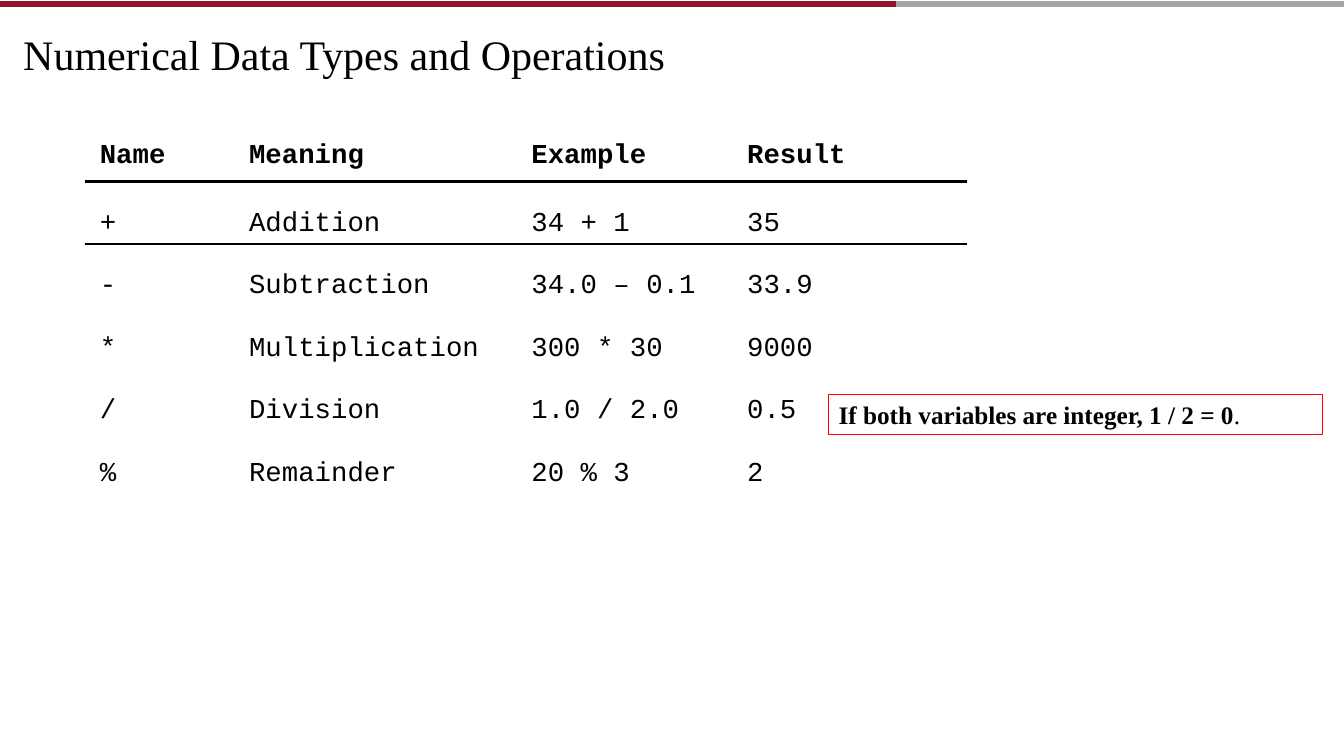
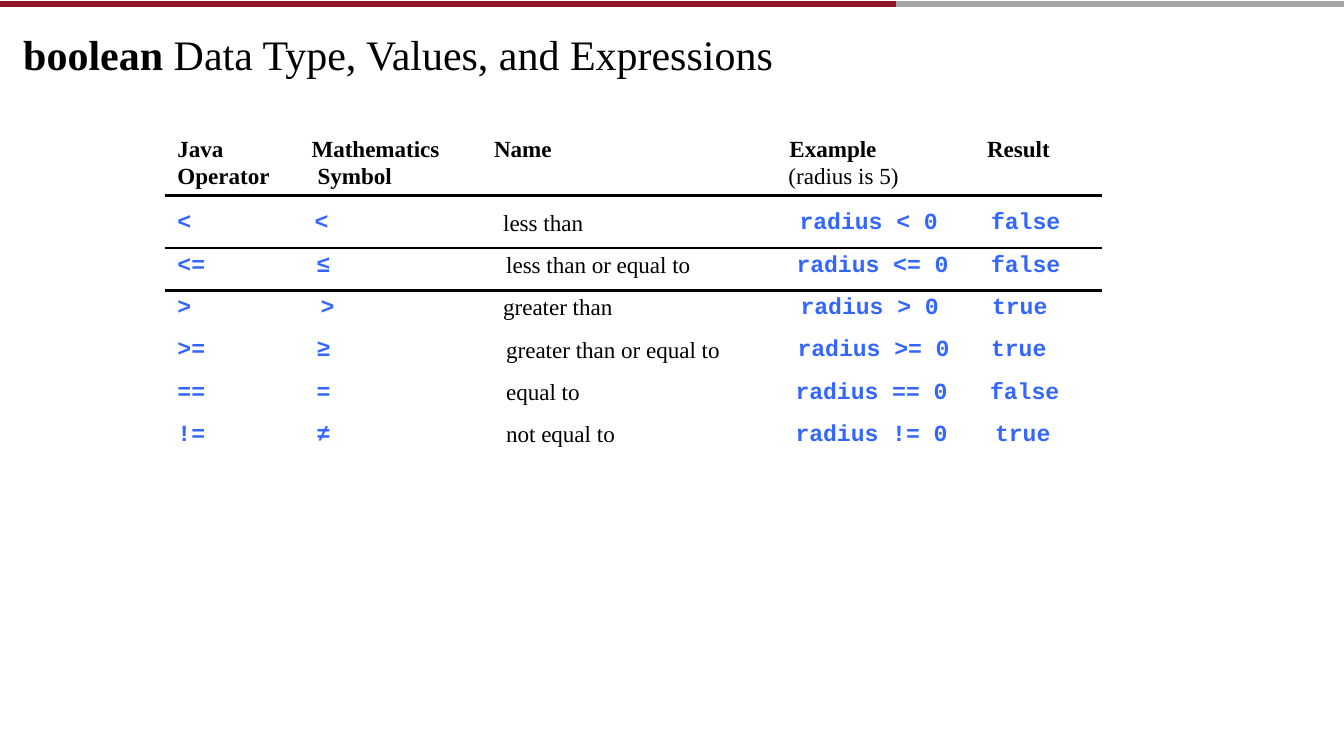
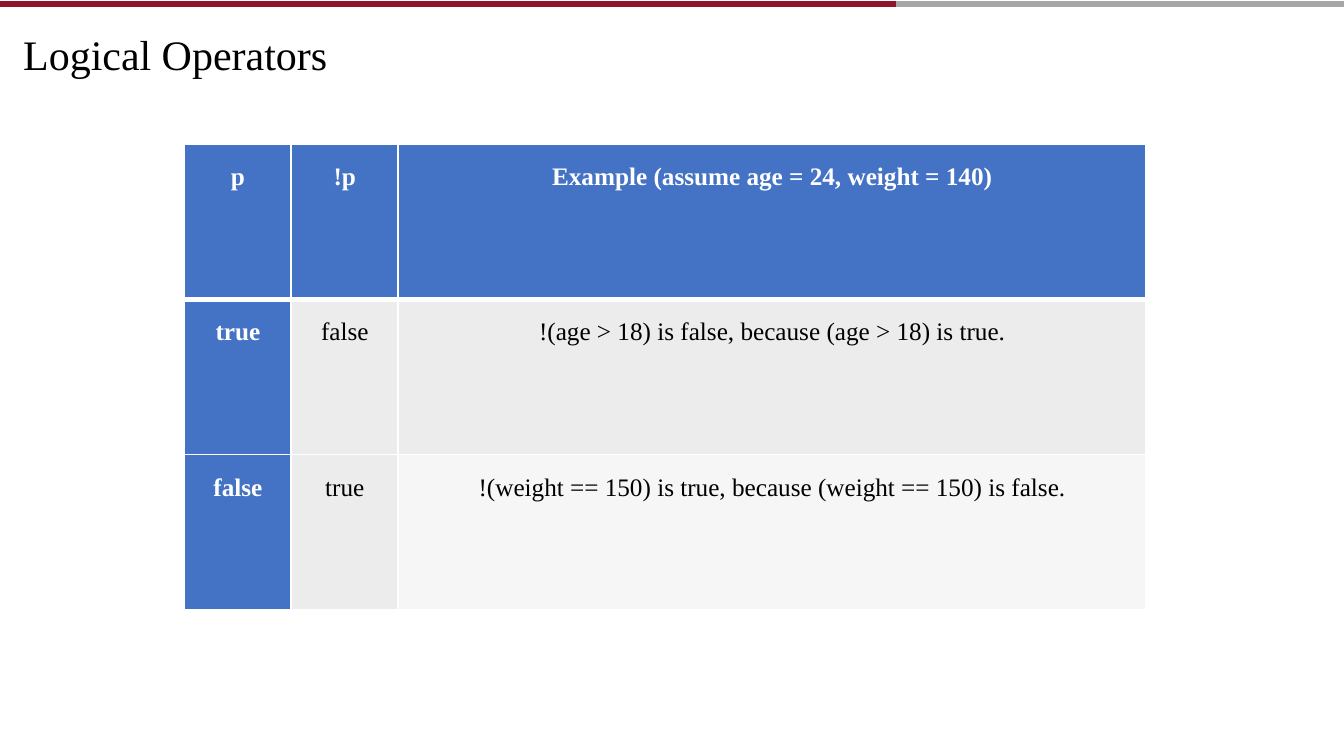
from lxml.etree import SubElement
from pptx import Presentation
from pptx.dml.color import RGBColor
from pptx.enum.shapes import MSO_CONNECTOR as Connector, MSO_SHAPE as Preset
from pptx.enum.text import MSO_ANCHOR as Anchor, MSO_AUTO_SIZE as AutoSize, PP_ALIGN as Align
from pptx.oxml.ns import qn
from pptx.util import Inches, Pt

COLORS = {
    "crimson": "90152A", "gray": "A6A6A6", "black": "000000", "white": "FFFFFF",
    "red": "FF0000", "code": "3366FF", "header": "4472C4",
    "band": "ECECEC", "pale": "F6F6F6",
}
SERIF, MONO = "Times New Roman", "Courier New"
NO_TABLE_STYLE = "{2D5ABB26-0587-4C30-8999-92F81FD0307C}"
BORDER_TAGS = {"left": "a:lnL", "right": "a:lnR", "top": "a:lnT", "bottom": "a:lnB"}


def rgb(name):
    return RGBColor.from_string(COLORS[name])


def write_text(paragraph, text, font=SERIF, size=18, color="black", bold=False,
               align=Align.LEFT, indent=0, line_spacing=None):
    """Text is a string, or a list of (text, bold) pairs."""
    paragraph.alignment = align
    if indent:
        paragraph._p.get_or_add_pPr().set("marL", str(Inches(indent)))
    if line_spacing:
        paragraph.line_spacing = Pt(line_spacing)
    for words, weight in [(text, bold)] if isinstance(text, str) else text:
        run = paragraph.add_run()
        run.text = words
        run.font.name = font
        run.font.size = Pt(size)
        run.font.bold = weight
        run.font.color.rgb = rgb(color)


def set_margins(target, left=0, top=0):
    target.margin_left, target.margin_top = Inches(left), Inches(top)
    target.margin_right = target.margin_bottom = 0


def add_title_slide(presentation, title, width):
    slide = presentation.slides.add_slide(presentation.slide_layouts[5])
    shape = slide.shapes.title
    shape.left, shape.top = Inches(0.22), Inches(0.24)
    shape.width, shape.height = Inches(width), Inches(0.53)
    frame = shape.text_frame
    frame.auto_size = AutoSize.NONE
    frame.word_wrap = True
    frame.vertical_anchor = Anchor.TOP
    set_margins(frame, 0.01, 0.04)
    write_text(frame.paragraphs[0], title, size=30)
    return slide


def add_bands(slide):
    """Draw the top bands and keep them on the layout that all slides share."""
    layout = slide.slide_layout
    for placeholder in list(layout.placeholders)[1:]:
        placeholder.element.getparent().remove(placeholder.element)
    layout_tree = layout.placeholders[0].element.getparent()
    for start, end, color in ((8.89, 13.33, "gray"), (0, 8.89, "crimson")):
        band = slide.shapes.add_connector(
            Connector.STRAIGHT, Inches(start), Inches(0.04), Inches(end), Inches(0.04))
        band.line.color.rgb = rgb(color)
        band.line.width = Pt(4)
        SubElement(band.element.spPr, qn("a:effectLst"))
        layout_tree.append(band.element)


def add_table(slide, left, top, columns, rows):
    frame = slide.shapes.add_table(
        len(rows), len(columns), Inches(left), Inches(top),
        Inches(sum(columns)), Inches(sum(rows)))
    table = frame.table
    table.first_row = table.horz_banding = False
    for style in frame.element.iter(qn("a:tableStyleId")):
        style.text = NO_TABLE_STYLE
    for column, width in zip(table.columns, columns):
        column.width = Inches(width)
    for row, height in zip(table.rows, rows):
        row.height = Inches(height)
    return table


def format_cell(cell, borders, border_color="black", fill=None, inset_left=0, inset_top=0):
    """Borders give the line width in points for each named side."""
    set_margins(cell, inset_left, inset_top)
    if fill:
        cell.fill.solid()
        cell.fill.fore_color.rgb = rgb(fill)
    else:
        cell.fill.background()
    properties = cell._tc.get_or_add_tcPr()
    sides = [side for side in BORDER_TAGS if side in borders]
    for position, side in enumerate(sides):
        line = SubElement(properties, qn(BORDER_TAGS[side]), w=str(Pt(borders[side])))
        solid = SubElement(line, qn("a:solidFill"))
        SubElement(solid, qn("a:srgbClr"), val=COLORS[border_color])
        properties.insert(position, line)


def add_note(slide, text, left, top, width, height):
    shape = slide.shapes.add_shape(
        Preset.RECTANGLE, Inches(left), Inches(top), Inches(width), Inches(height))
    shape.shadow.inherit = False
    shape.fill.background()
    shape.line.color.rgb = rgb("red")
    shape.line.width = Pt(0.75)
    frame = shape.text_frame
    frame.word_wrap = True
    frame.vertical_anchor = Anchor.TOP
    set_margins(frame, 0.1, 0.05)
    write_text(frame.paragraphs[0], text)


def build_numeric_slide(presentation):
    slide = add_title_slide(presentation, "Numerical Data Types and Operations", 6.41)
    add_bands(slide)
    content = [
        ("Name", "Meaning", "Example", "Result"),
        ("+", "Addition", "34 + 1", "35"),
        ("-", "Subtraction", "34.0 – 0.1", "33.9"),
        ("*", "Multiplication", "300 * 30", "9000"),
        ("/", "Division", "1.0 / 2.0", "0.5"),
        ("%", "Remainder", "20 % 3", "2"),
    ]
    table = add_table(slide, 0.84, 1.3, [1.48, 2.8, 2.14, 2.33], [0.5] + [0.62] * 5)
    for row, texts in enumerate(content):
        borders = {0: {"bottom": 1.78}, 1: {"top": 1.78}}.get(row, {})
        for column, text in enumerate(texts):
            cell = table.cell(row, column)
            format_cell(cell, borders, inset_left=0.15, inset_top=0.27 if row else 0.1)
            write_text(cell.text_frame.paragraphs[0], text, font=MONO, size=19.5,
                       bold=row == 0)
    add_note(slide, [("If both variables are integer, 1 / 2 = 0", True), (".", False)],
             8.22, 3.91, 4.9, 0.4)


def build_boolean_slide(presentation):
    slide = add_title_slide(
        presentation,
        [("boolean ", True), ("Data Type, Values, and Expressions", False)], 7.48)
    headers = [
        [("Java", 0.12, True), ("Operator", 0.12, True)],
        [("Mathematics", 0.2, True), ("Symbol", 0.26, True)],
        [("Name", 0.26, True)],
        [("Example", 0.34, True), ("(radius is 5)", 0.33, False)],
        [("Result", 0.18, True)],
    ]
    content = [
        (("<", "<", "less than", "radius < 0", "false"), (0.12, 0.23, 0.35, 0.44, 0.22)),
        (("<=", "≤", "less than or equal to", "radius <= 0", "false"),
         (0.12, 0.25, 0.38, 0.41, 0.22)),
        ((">", ">", "greater than", "radius > 0", "true"), (0.12, 0.29, 0.35, 0.45, 0.23)),
        ((">=", "≥", "greater than or equal to", "radius >= 0", "true"),
         (0.12, 0.25, 0.38, 0.42, 0.22)),
        (("==", "=", "equal to", "radius == 0", "false"), (0.12, 0.25, 0.38, 0.4, 0.21)),
        (("!=", "≠", "not equal to", "radius != 0", "true"), (0.12, 0.25, 0.38, 0.4, 0.26)),
    ]
    table = add_table(slide, 1.64, 1.36, [1.25, 1.75, 2.85, 2.12, 1.32],
                      [0.58, 0.52] + [0.42] * 4 + [0.35])
    for column, lines in enumerate(headers):
        cell = table.cell(0, column)
        format_cell(cell, {"bottom": 2.25})
        frame = cell.text_frame
        for number, (text, indent, bold) in enumerate(lines):
            paragraph = frame.add_paragraph() if number else frame.paragraphs[0]
            write_text(paragraph, text, size=16.5, bold=bold, indent=indent,
                       line_spacing=19.6 if number else 18.1)
    for row, (texts, indents) in enumerate(content, 1):
        borders = {1: {"top": 2.25, "bottom": 2.25}, 2: {"top": 2.25}}.get(row, {})
        for column, (text, indent) in enumerate(zip(texts, indents)):
            cell = table.cell(row, column)
            format_cell(cell, borders, inset_top=0.15 if row == 1 else 0.05)
            is_name = column == 2
            write_text(cell.text_frame.paragraphs[0], text, size=16.5, indent=indent,
                       font=SERIF if is_name else MONO, bold=not is_name,
                       color="black" if is_name else "code")


def build_logical_slide(presentation):
    slide = add_title_slide(presentation, "Logical Operators", 3.05)
    content = [
        ("p", "!p", "Example (assume age = 24, weight = 140)"),
        ("true", "false", "!(age > 18) is false, because (age > 18) is true."),
        ("false", "true", "!(weight == 150) is true, because (weight == 150) is false."),
    ]
    fills = [("header",) * 3, ("header", "band", "band"), ("header", "band", "pale")]
    table = add_table(slide, 1.83, 1.43, [1.06, 1.06, 7.42], [1.54] * 3)
    for row, texts in enumerate(content):
        borders = {"left": 1.5, "right": 1.5,
                   "top": 4.5 if row == 1 else 1.5, "bottom": 4.5 if row == 0 else 1.5}
        for column, text in enumerate(texts):
            cell = table.cell(row, column)
            fill = fills[row][column]
            is_header = fill == "header"
            format_cell(cell, borders, "white", fill, inset_top=0.19)
            write_text(cell.text_frame.paragraphs[0], text, align=Align.CENTER,
                       bold=is_header, color="white" if is_header else "black")


def main():
    presentation = Presentation()
    presentation.slide_width, presentation.slide_height = Inches(13.33), Inches(7.5)
    build_numeric_slide(presentation)
    build_boolean_slide(presentation)
    build_logical_slide(presentation)
    presentation.save("out.pptx")


if __name__ == "__main__":
    main()
